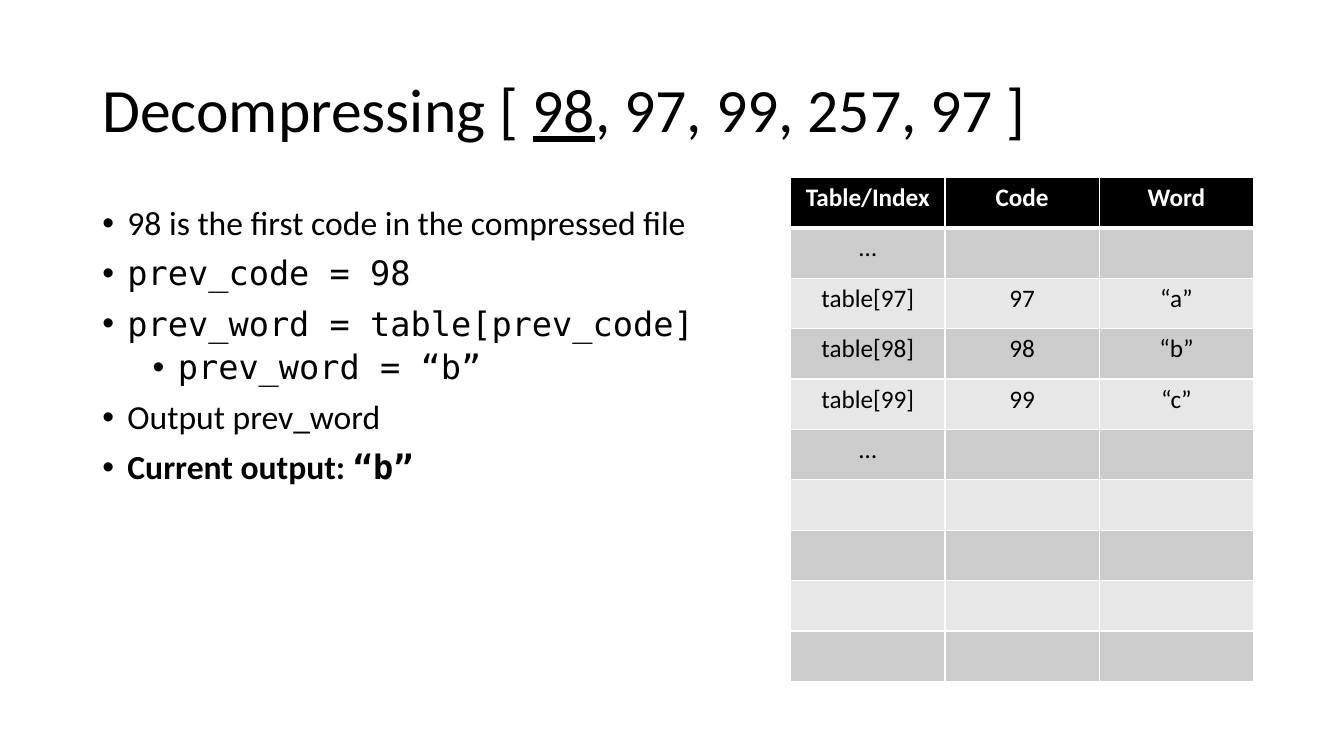
import pptx
import pptx.dml.color
import pptx.enum.text
import pptx.oxml
import pptx.oxml.ns
import pptx.util
from dataclasses import dataclass
from lxml import etree

PX = 9525  # EMU in one px, 96 px to the inch


@dataclass(frozen=True)
class Theme:
    ink: str = "000000"
    paper: str = "FFFFFF"
    band_dark: str = "CCCCCC"
    band_light: str = "E7E7E7"
    text_font: str = "Calibri"
    code_font: str = "DejaVu Sans Mono"
    title_size: int = 44
    body_size: int = 24
    table_size: int = 18


THEME = Theme()


def add_text(paragraph, text, size, font=THEME.text_font, color=THEME.ink,
             bold=False, underline=False):
    run = paragraph.add_run()
    run.text = text
    run.font.size = pptx.util.Pt(size)
    run.font.name = font
    run.font.color.rgb = pptx.dml.color.RGBColor.from_string(color)
    run.font.bold = bold
    run.font.underline = underline


def add_border(cell, side, width):
    """Draw one cell edge; side is L, R, T or B and width is in points."""
    edge = etree.SubElement(cell._tc.get_or_add_tcPr(), pptx.oxml.ns.qn(f"a:ln{side}"),
                            w=str(pptx.util.Pt(width)))
    fill = etree.SubElement(edge, pptx.oxml.ns.qn("a:solidFill"))
    etree.SubElement(fill, pptx.oxml.ns.qn("a:srgbClr"), val=THEME.paper)


presentation = pptx.Presentation()
presentation.slide_width = 1280 * PX
presentation.slide_height = 720 * PX
slide = presentation.slides.add_slide(presentation.slide_layouts[5])

# Title
title = slide.shapes.title
title.left, title.top, title.width, title.height = (n * PX for n in (88, 38, 1104, 139))
title.text_frame.word_wrap = True
title.text_frame.auto_size = pptx.enum.text.MSO_AUTO_SIZE.NONE
title.text_frame.vertical_anchor = pptx.enum.text.MSO_ANCHOR.MIDDLE
heading = title.text_frame.paragraphs[0]
heading.alignment = pptx.enum.text.PP_ALIGN.LEFT
heading.line_spacing = 0.9
add_text(heading, "Decompressing [ ", THEME.title_size)
add_text(heading, "98", THEME.title_size, underline=True)
add_text(heading, ", 97, 99, 257, 97 ]", THEME.title_size)

# Decoding steps: level, then (text, font, bold) for each run
STEPS = [
    (0, [("98 is the first code in the compressed file", THEME.text_font, False)]),
    (0, [("prev_code = 98", THEME.code_font, False)]),
    (0, [("prev_word = table[prev_code]", THEME.code_font, False)]),
    (1, [("prev_word = “b”", THEME.code_font, False)]),
    (0, [("Output prev_word", THEME.text_font, False)]),
    (0, [("Current output: ", THEME.text_font, True), ("“b”", THEME.code_font, True)]),
]
steps = slide.shapes.add_textbox(*(n * PX for n in (88, 192, 584, 457))).text_frame
steps.word_wrap = True
for number, (level, runs) in enumerate(STEPS):
    step = steps.add_paragraph() if number else steps.paragraphs[0]
    step.level = level
    step.line_spacing = 0.9
    step.space_before = pptx.util.Pt(5 if level else 10)
    properties = step._p.get_or_add_pPr()
    properties.set("marL", str((24 + 48 * level) * PX))
    properties.set("indent", str(-24 * PX))
    etree.SubElement(properties, pptx.oxml.ns.qn("a:buFont"), typeface="Arial")
    etree.SubElement(properties, pptx.oxml.ns.qn("a:buChar"), char="•")
    for text, font, bold in runs:
        add_text(step, text, THEME.body_size, font=font, bold=bold)

# Code table
CODES = [
    ("Table/Index", "Code", "Word"),
    ("…", "", ""),
    ("table[97]", "97", "“a”"),
    ("table[98]", "98", "“b”"),
    ("table[99]", "99", "“c”"),
    ("…", "", ""),
] + [("", "", "")] * 4
COLUMN, ROW = 147, 48
code_table = slide.shapes.add_table(
    len(CODES), 3, 753 * PX, 169 * PX, 3 * COLUMN * PX, len(CODES) * ROW * PX).table
for column in code_table.columns:
    column.width = COLUMN * PX
for row_number, entries in enumerate(CODES):
    code_table.rows[row_number].height = ROW * PX
    header = row_number == 0
    band = THEME.band_dark if row_number % 2 else THEME.band_light
    for column_number, entry in enumerate(entries):
        cell = code_table.cell(row_number, column_number)
        for side in "LRTB":
            heavy = (row_number, side) in ((0, "B"), (1, "T"))
            add_border(cell, side, 3 if heavy else 1)
        cell.fill.solid()
        cell.fill.fore_color.rgb = pptx.dml.color.RGBColor.from_string(
            THEME.ink if header else band)
        if entry:
            label = cell.text_frame.paragraphs[0]
            label.alignment = pptx.enum.text.PP_ALIGN.CENTER
            add_text(label, entry, THEME.table_size, bold=header,
                     color=THEME.paper if header else THEME.ink)

presentation.save("out.pptx")
